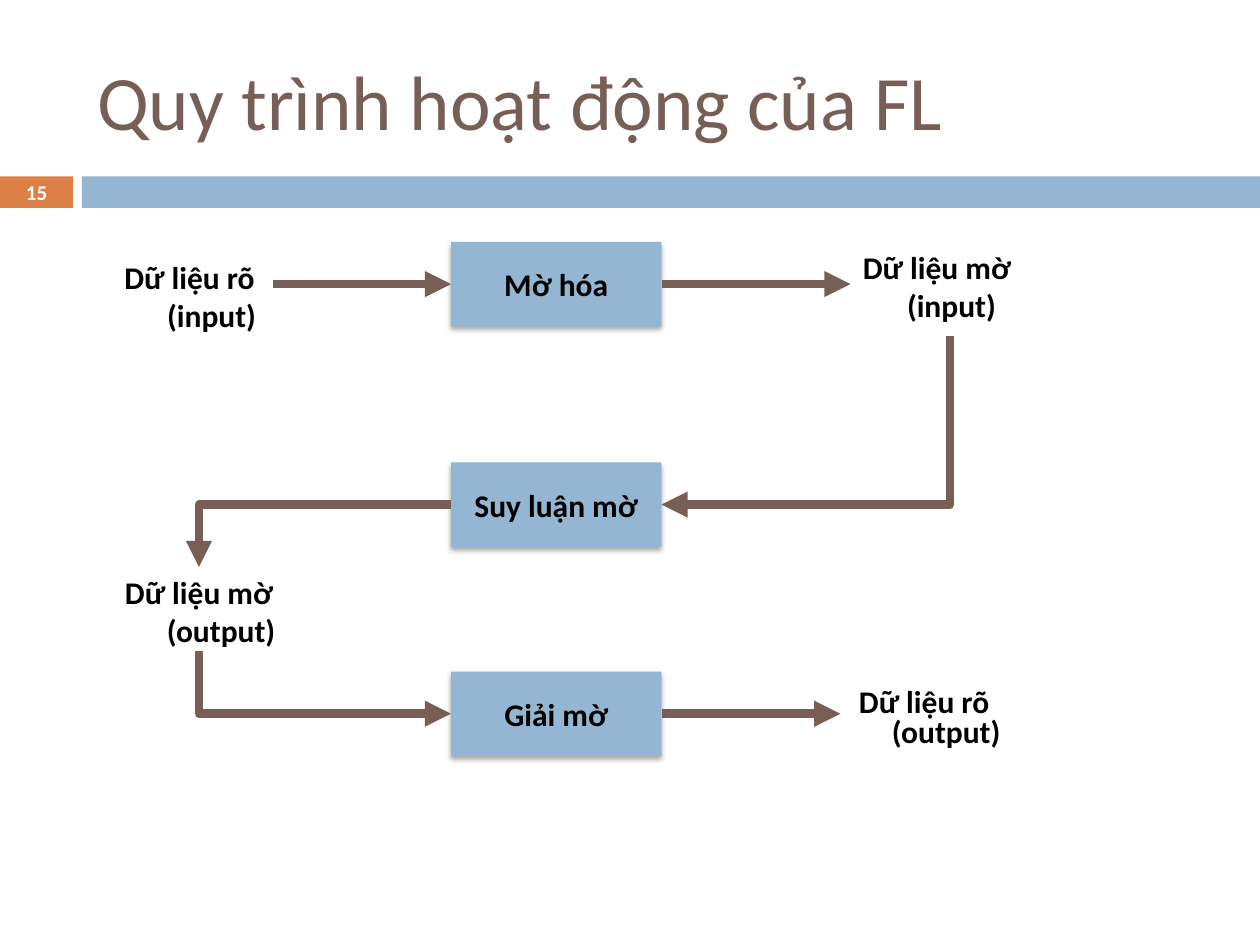
"""Build the slide on the fuzzy logic workflow."""
from lxml import etree
from pptx import Presentation
from pptx import util as u
from pptx.dml.color import RGBColor
from pptx.enum import shapes, text
from pptx.oxml import parse_xml
from pptx.oxml.ns import nsdecls, qn

THEME = {
    "font": "Calibri", "brown": "775F55", "blue": "94B6D2", "orange": "DD8047",
    "white": "FFFFFF", "black": "000000",
    "title": 44, "body": 18, "number": 12, "line": 5,
}
TITLE = "Quy trình hoạt động của FL"
NUMBER = "15"
BANDS = [(0, 0.58, "orange"), (0.65, 9.35, "blue")]
BAND_TOP, BAND_HEIGHT = 1.4, 0.25
STEP_LEFT, STEP_WIDTH, STEP_HEIGHT = 3.58, 1.67, 0.67
STEPS = {"Mờ hóa": 1.92, "Suy luận mờ": 3.67, "Giải mờ": 5.33}
CENTER, LEFT = text.PP_ALIGN.CENTER, text.PP_ALIGN.LEFT
LABELS = {
    "Dữ liệu rõ (input)": ((0.67, 2, 1.67, 0.58), CENTER, 1),
    "Dữ liệu mờ (input)": ((6.75, 1.92, 1.58, 0.75), LEFT, 1),
    "Dữ liệu mờ (output)": ((0.58, 4.5, 2, 0.67), CENTER, 1),
    "Dữ liệu rõ (output)": ((6.5, 5.42, 1.67, 0.58), CENTER, 0.8),
}
TOP, WEST, BOTTOM, EAST = range(4)
STRAIGHT_ARROWS = [
    ("Mờ hóa", WEST, 2.17, "headEnd"),
    ("Mờ hóa", EAST, 6.75, "tailEnd"),
    ("Giải mờ", EAST, 6.67, "tailEnd"),
]
BENT_ARROWS = [
    ("Suy luận mờ", EAST, "Dữ liệu mờ (input)", BOTTOM, "headEnd"),
    ("Suy luận mờ", WEST, "Dữ liệu mờ (output)", TOP, "tailEnd"),
    ("Giải mờ", WEST, "Dữ liệu mờ (output)", BOTTOM, "headEnd"),
]
SHADOW = (
    f'<a:effectLst {nsdecls("a")}><a:outerShdw blurRad="38100" dist="25400" '
    'dir="5400000" rotWithShape="0"><a:srgbClr val="000000">'
    '<a:alpha val="35000"/></a:srgbClr></a:outerShdw></a:effectLst>'
)


def color(name):
    return RGBColor.from_string(THEME[name])


def place(shape, left, top, width, height):
    shape.left, shape.top = u.Inches(left), u.Inches(top)
    shape.width, shape.height = u.Inches(width), u.Inches(height)


def write(shape, wording, size, shade, bold=True, align=CENTER,
          anchor=text.MSO_ANCHOR.MIDDLE):
    frame = shape.text_frame
    frame.text = wording
    frame.word_wrap = True
    frame.auto_size = text.MSO_AUTO_SIZE.NONE
    frame.vertical_anchor = anchor
    para = frame.paragraphs[0]
    para.alignment = align
    para.font.name, para.font.size = THEME["font"], u.Pt(THEME[size])
    para.font.bold, para.font.color.rgb = bold, color(shade)
    return para


def add_rectangle(page, left, top, width, height, shade):
    box = page.shapes.add_shape(shapes.MSO_SHAPE.RECTANGLE,
                                *map(u.Inches, (left, top, width, height)))
    box.shadow.inherit = False
    box.fill.solid()
    box.fill.fore_color.rgb = color(shade)
    box.line.fill.background()
    return box


def add_step(page, wording, top):
    box = add_rectangle(page, STEP_LEFT, top, STEP_WIDTH, STEP_HEIGHT, "blue")
    properties = box._element.spPr
    properties.replace(properties.find(qn("a:effectLst")), parse_xml(SHADOW))
    write(box, wording, "body", "black")
    return box


def add_label(page, wording, area, align, spacing):
    box = page.shapes.add_textbox(*map(u.Inches, area))
    para = write(box, wording, "body", "black", align=align,
                 anchor=text.MSO_ANCHOR.TOP)
    para.space_before, para.line_spacing = u.Pt(7), spacing
    indent = u.Inches(0.35)
    properties = para._p.get_or_add_pPr()
    properties.set("marL", str(indent))
    properties.set("indent", str(-indent))
    return box


def side_point(box, side):
    return [
        (box.left + box.width // 2, box.top),
        (box.left, box.top + box.height // 2),
        (box.left + box.width // 2, box.top + box.height),
        (box.left + box.width, box.top + box.height // 2),
    ][side]


def add_arrow(page, kind, box, side, end, arrowhead):
    arrow = page.shapes.add_connector(kind, *side_point(box, side), *end)
    arrow.begin_connect(box, side)
    arrow.line.color.rgb = color("brown")
    arrow.line.width = u.Pt(THEME["line"])
    properties = arrow._element.spPr
    etree.SubElement(properties.find(qn("a:ln")), qn(f"a:{arrowhead}"), type="triangle")
    etree.SubElement(properties, qn("a:effectLst"))
    return arrow


def main():
    deck = Presentation()
    deck.slide_width, deck.slide_height = u.Inches(10), u.Inches(7.5)
    page = deck.slides.add_slide(deck.slide_layouts[5])

    place(page.shapes.title, 0.67, 0.25, 8.92, 1.08)
    write(page.shapes.title, TITLE, "title", "brown", bold=False, align=LEFT)

    bands = [add_rectangle(page, left, BAND_TOP, width, BAND_HEIGHT, shade)
             for left, width, shade in BANDS]
    write(bands[0], NUMBER, "number", "white")

    boxes = {name: add_step(page, name, top) for name, top in STEPS.items()}
    boxes.update({name: add_label(page, name, *look) for name, look in LABELS.items()})

    for name, side, reach, arrowhead in STRAIGHT_ARROWS:
        level = side_point(boxes[name], side)[1]
        add_arrow(page, shapes.MSO_CONNECTOR.STRAIGHT, boxes[name], side,
                  (u.Inches(reach), level), arrowhead)

    for name, side, label, label_side, arrowhead in BENT_ARROWS:
        arrow = add_arrow(page, shapes.MSO_CONNECTOR.ELBOW, boxes[name], side,
                          side_point(boxes[label], label_side), arrowhead)
        arrow.end_connect(boxes[label], label_side)
        arrow._element.spPr.find(qn("a:prstGeom")).set("prst", "bentConnector2")

    deck.save("out.pptx")


if __name__ == "__main__":
    main()
